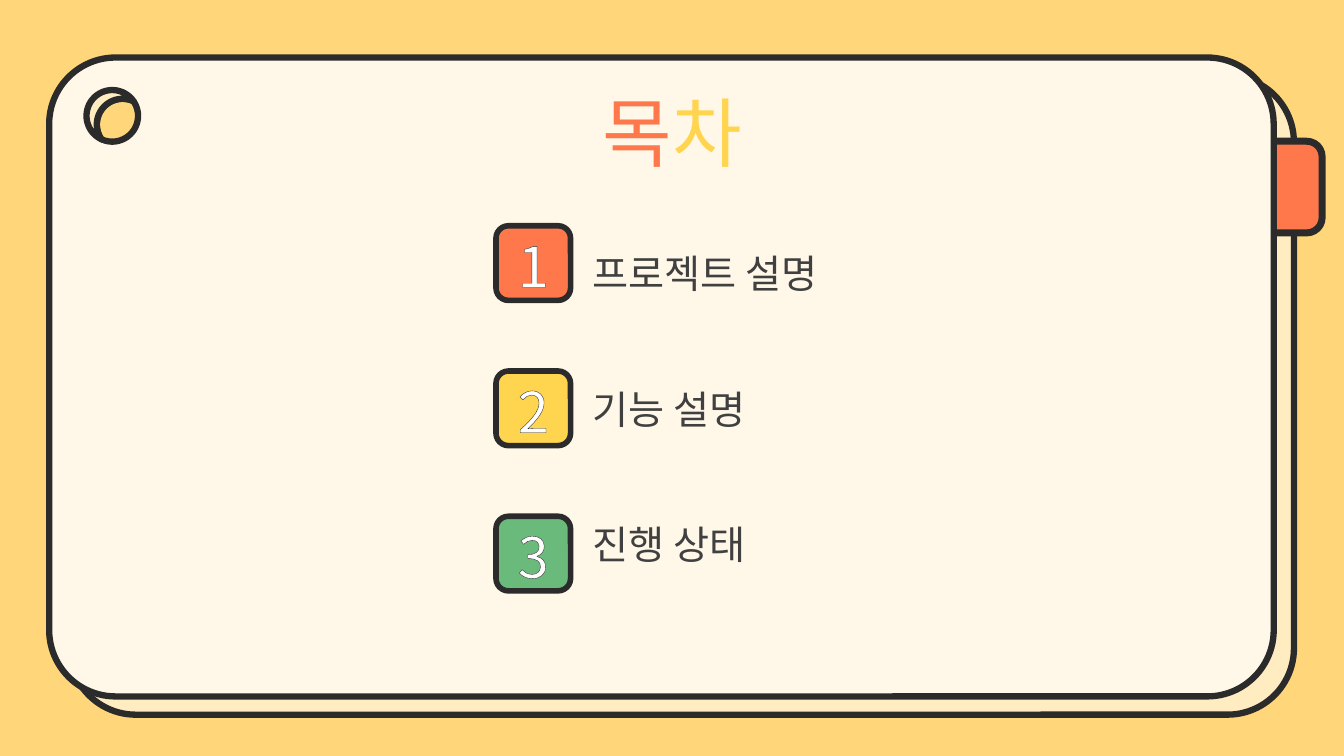
import math
from dataclasses import dataclass

from lxml import etree
from pptx import Presentation
from pptx import util as u
from pptx.dml.color import RGBColor
from pptx.enum import shapes, text
from pptx.oxml.ns import qn


@dataclass(frozen=True)
class Theme:
    font: str = "Noto Sans CJK KR"
    background: str = "FFD679"
    paper: str = "FFF8E9"
    back_paper: str = "FFECC1"
    ink: str = "2B2B2B"
    body: str = "404040"
    white: str = "FFFFFF"
    orange: str = "FF784C"
    yellow: str = "FFD44E"
    green: str = "6ABB7B"
    title_size: float = 54
    number_size: float = 40
    item_size: float = 28
    border: float = 4.5


class Deck:
    def __init__(self, theme):
        self.theme = theme
        self.prs = Presentation()
        self.prs.slide_width, self.prs.slide_height = u.Cm(33.87), u.Cm(19.05)
        self.slide = self.prs.slides.add_slide(self.prs.slide_layouts[1])
        fill = self.slide.background.fill
        fill.solid()
        fill.fore_color.rgb = RGBColor.from_string(theme.background)
        self.card = self.slide.shapes.add_group_shape()

    def paint(self, sp, color, width):
        sp.shadow.inherit = False
        sp.fill.solid()
        sp.fill.fore_color.rgb = RGBColor.from_string(color)
        sp.line.color.rgb = RGBColor.from_string(self.theme.ink)
        sp.line.width = u.Pt(width)

    def style(self, p, size, color, align, outline=None):
        p.alignment = align
        p.font.size = u.Pt(size)
        p.font.color.rgb = RGBColor.from_string(color)
        p.font.name = self.theme.font
        props = p._p.pPr.find(qn("a:defRPr"))
        etree.SubElement(props, qn("a:ea"), typeface=self.theme.font)
        if outline:
            ln = etree.Element(qn("a:ln"), w=str(u.Pt(outline)))
            fill = etree.SubElement(ln, qn("a:solidFill"))
            etree.SubElement(fill, qn("a:srgbClr"), val=self.theme.ink)
            props.insert(0, ln)

    def round_box(self, parent, box, color, width, radius=None):
        sp = parent.shapes.add_shape(shapes.MSO_SHAPE.ROUNDED_RECTANGLE, *map(u.Cm, box))
        if radius:
            sp.adjustments[0] = radius
        self.paint(sp, color, width)
        return sp

    def outline_shape(self, points, color):
        points = [(u.Cm(x), u.Cm(y)) for x, y in points]
        builder = self.card.shapes.build_freeform(*points[0])
        builder.add_line_segments(points[1:], close=True)
        self.paint(builder.convert_to_shape(), color, self.theme.border)

    def place(self, sp, box):
        sp.left, sp.top, sp.width, sp.height = map(u.Cm, box)
        self.slide.shapes._spTree.append(sp._element)  # in front of the card
        tf = sp.text_frame
        tf.word_wrap = True
        tf.auto_size = text.MSO_AUTO_SIZE.NONE
        tf.vertical_anchor = text.MSO_ANCHOR.MIDDLE
        return tf

    def title(self, parts, box):
        p = self.place(self.slide.shapes.title, box).paragraphs[0]
        self.style(p, self.theme.title_size, self.theme.ink, text.PP_ALIGN.CENTER, 3.25)
        for words, color in parts:
            r = p.add_run()
            r.text = words
            r.font.color.rgb = RGBColor.from_string(color)

    def items(self, lines, box, gap):
        tf = self.place(self.slide.placeholders[1], box)
        tf.text = "\n".join(lines)
        for i, p in enumerate(tf.paragraphs):
            self.style(p, self.theme.item_size, self.theme.body, text.PP_ALIGN.LEFT)
            p.line_spacing = 1.0
            p.space_before = u.Pt(gap if i else 0)
            p.space_after = u.Pt(0)
            props = p._p.pPr
            props.set("marL", "0")
            props.set("indent", "0")
            props.find(qn("a:defRPr")).addprevious(etree.Element(qn("a:buNone")))

    def number(self, label, box, color):
        sp = self.round_box(self.slide, box, color, 4)
        tf = sp.text_frame
        tf.margin_top, tf.margin_bottom = u.Cm(0.1), 0
        tf.vertical_anchor = text.MSO_ANCHOR.MIDDLE
        tf.text = label
        self.style(tf.paragraphs[0], self.theme.number_size, self.theme.white,
                   text.PP_ALIGN.CENTER, 3)


def arc(center, radius, start, end, steps=32):
    angles = [start + (end - start) * i / steps for i in range(steps + 1)]
    return [(center[0] + radius * math.cos(a), center[1] + radius * math.sin(a))
            for a in angles]


def punch_hole(deck, rim, inner, radius):
    """Two equal circles: their overlap is the hole, the rest of the rim its edge."""
    dx, dy = inner[0] - rim[0], inner[1] - rim[1]
    facing = math.atan2(dy, dx)
    half = math.acos(math.hypot(dx, dy) / 2 / radius)
    inner_arc = arc(inner, radius, facing + math.pi - half, facing + math.pi + half)
    near = arc(rim, radius, facing - half, facing + half)
    far = arc(rim, radius, facing + half, facing - half + 2 * math.pi)
    deck.outline_shape(near + inner_arc[1:-1], deck.theme.background)
    deck.outline_shape(far + inner_arc[-2:0:-1], deck.theme.back_paper)


def main():
    theme = Theme()
    deck = Deck(theme)

    # Stacked cards with a side tab and a punched hole
    deck.round_box(deck.card, (1.75, 1.91, 30.86, 16.1), theme.back_paper, theme.border, 0.104)
    deck.round_box(deck.card, (27.91, 3.56, 5.41, 2.31), theme.orange, 5)
    deck.round_box(deck.card, (1.24, 1.45, 30.86, 16.1), theme.paper, theme.border, 0.104)
    punch_hole(deck, (2.83, 2.92), (3.09, 3.14), 0.65)

    # Title
    deck.title([("목", theme.orange), ("차", theme.yellow)], (14.05, 1.73, 5.79, 3.18))

    # Numbered contents
    pitch = 3.66
    for i, color in enumerate((theme.orange, theme.yellow, theme.green)):
        deck.number(str(i + 1), (12.5, 5.69 + i * pitch, 1.88, 1.88), color)
    deck.items(["프로젝트 설명", "기능 설명", "진행 상태"],
               (14.68, 5.59, 13.34, 2.08 + 2 * pitch), gap=63.2)

    deck.prs.save("out.pptx")


if __name__ == "__main__":
    main()
